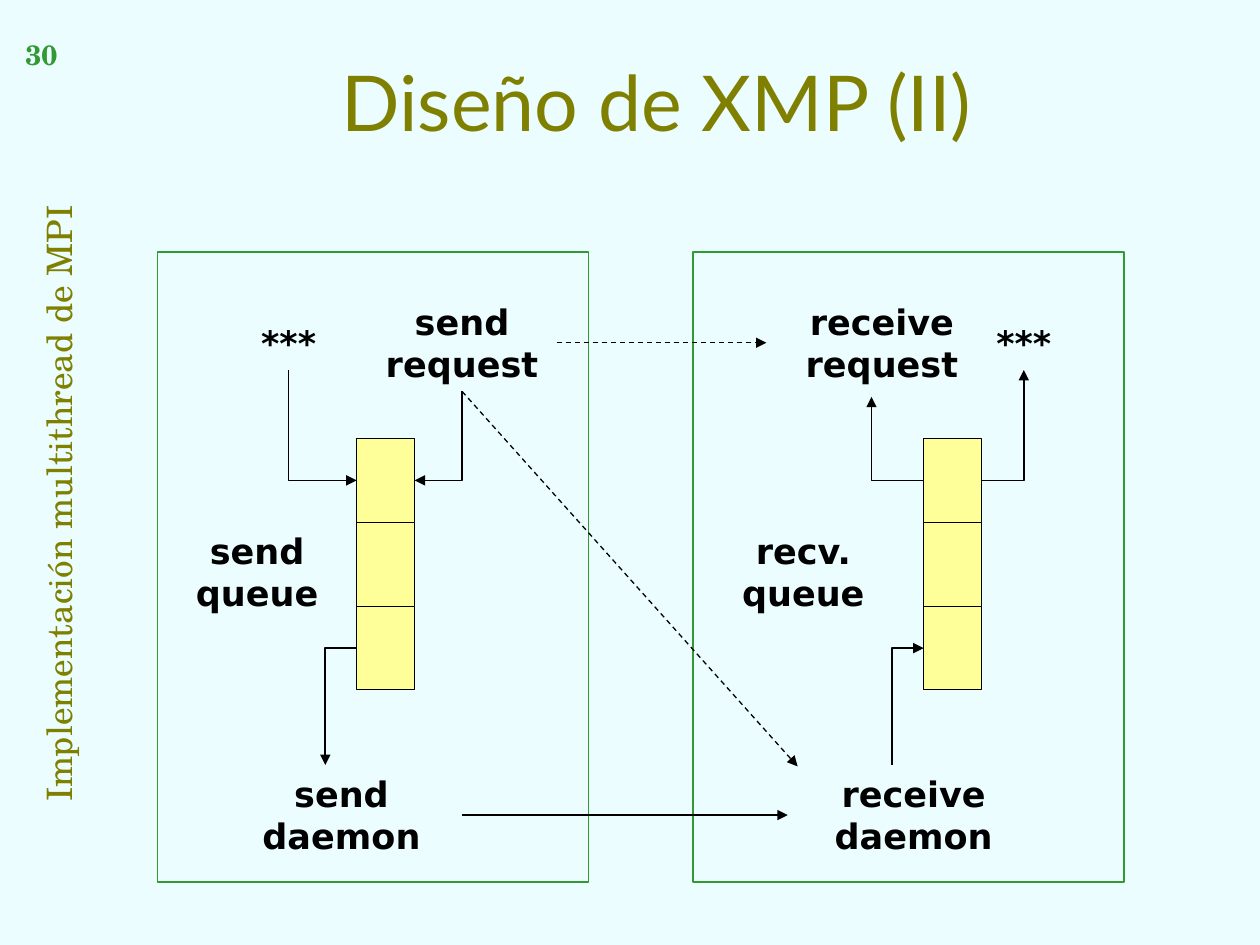
"""Build the slide on the send and receive queues of XMP."""
from lxml.etree import SubElement
from pptx import Presentation
from pptx.dml.color import RGBColor as Rgb
from pptx.enum.dml import MSO_LINE as Dash
from pptx.enum.shapes import MSO_CONNECTOR as Link, MSO_SHAPE as Form
from pptx.enum.text import MSO_ANCHOR as Anchor, PP_ALIGN as Align
from pptx.oxml.ns import qn
from pptx.util import Cm, Pt

THEME = {
    "back": "EBFDFF", "olive": "808000", "green": "339933",
    "cell": "FFFF99", "ink": "000000",
    "sans": "DejaVu Sans", "serif": "TeX Gyre Schola", "head": "Lato",
    "title": 44, "body": 20, "page": 16,
}
TITLE = "Diseño de XMP (II)"
SIDE = "Implementación multithread de MPI"
PAGE = "30"

PANELS = [3.18, 13.97]
QUEUES = {"send": 7.19, "recv": 18.62}
CELL_W, CELL_H, CELL_TOP, CELLS = 1.17, 1.69, 8.84, 3

LABELS = {
    "send request": ("send request", 7.41, 5.93, 3.81, 1.96),
    "send queue": ("send queue", 2.96, 10.54, 4.45, 1.96),
    "send daemon": ("send daemon", 4.45, 15.45, 4.87, 1.96),
    "send more": ("***", 4.02, 6.35, 3.6, 1.11),
    "recv queue": ("recv. queue", 13.97, 10.54, 4.45, 1.96),
    "recv request": ("receive request", 15.45, 5.93, 4.66, 1.96),
    "recv daemon": ("receive daemon", 15.88, 15.45, 5.08, 1.96),
    "recv more": ("***", 18.84, 6.35, 3.6, 1.11),
}
TOP, LEFT, BOTTOM, RIGHT = range(4)
ELBOWS = [
    ("send", 0, LEFT, ("send more", BOTTOM), "headEnd"),
    ("send", 0, RIGHT, ("send request", BOTTOM), "headEnd"),
    ("send", 2, LEFT, (6.56, 15.42), "tailEnd"),
    ("recv", 0, LEFT, (17.57, 8.0), "tailEnd"),
    ("recv", 0, RIGHT, ("recv more", BOTTOM), "tailEnd"),
    ("recv", 2, LEFT, (17.99, 15.42), "headEnd"),
]
ARROWS = [
    (("send daemon", RIGHT), ("recv daemon", LEFT), 1, False),
    (("send request", RIGHT), ("recv request", LEFT), 0.75, True),
    (("send request", BOTTOM), (16.08, 15.45), 0.75, True),
]


def tint(name):
    return Rgb.from_string(THEME[name])


def style(box, text, face, size, hue, bold=False):
    frame = box.text_frame
    frame.word_wrap = True
    para = frame.paragraphs[0]
    para.text = text
    para.alignment = Align.CENTER
    font = para.font
    font.name, font.size, font.bold = THEME[face], Pt(THEME[size]), bold
    font.color.rgb = tint(hue)


def add_text(slide, area, *look):
    box = slide.shapes.add_textbox(*map(Cm, area))
    style(box, *look)
    return box


def add_rect(slide, area, fill, line, width):
    rect = slide.shapes.add_shape(Form.RECTANGLE, *map(Cm, area))
    rect.shadow.inherit = False
    if fill:
        rect.fill.solid()
        rect.fill.fore_color.rgb = tint(fill)
    else:
        rect.fill.background()
    rect.line.color.rgb = tint(line)
    rect.line.width = Pt(width)
    return rect


def add_link(slide, kind, start, end, width, tip, dash=False):
    link = slide.shapes.add_connector(kind, 0, 0, 0, 0)
    if kind == Link.ELBOW:
        link._element.spPr.find(qn("a:prstGeom")).set("prst", "bentConnector2")
    if isinstance(end[0], float):
        link.end_x, link.end_y = map(Cm, end)
    else:
        link.end_connect(*end)
    link.begin_connect(*start)
    link.line.color.rgb = tint("ink")
    link.line.width = Pt(width)
    if dash:
        link.line.dash_style = Dash.DASH
    SubElement(link.line._get_or_add_ln(), qn("a:" + tip), type="triangle")
    SubElement(link._element.spPr, qn("a:effectLst"))


def main():
    deck = Presentation()
    deck.slide_width, deck.slide_height = Cm(25.4), Cm(19.05)
    slide = deck.slides.add_slide(deck.slide_layouts[5])
    slide.background.fill.solid()
    slide.background.fill.fore_color.rgb = tint("back")

    title = slide.shapes.title
    title.left, title.top, title.width, title.height = map(
        Cm, (1.91, 0.43, 22.66, 3.18))
    style(title, TITLE, "head", "title", "olive")
    title.text_frame.vertical_anchor = Anchor.MIDDLE
    side = add_text(slide, (-6.88, 9.83, 15.67, 0.64),
                    SIDE, "serif", "body", "olive")
    side.rotation = 270
    add_text(slide, (0.2, 0.64, 1.27, 1.91),
             PAGE, "serif", "page", "green", True)

    for x in PANELS:
        add_rect(slide, (x, 5.08, 8.69, 12.7), None, "green", 0.75)
    cells = {
        (name, row): add_rect(
            slide, (x, CELL_TOP + row * CELL_H, CELL_W, CELL_H),
            "cell", "ink", 0.5)
        for name, x in QUEUES.items() for row in range(CELLS)
    }
    boxes = {
        name: add_text(slide, area, text, "sans", "body", "ink", True)
        for name, (text, *area) in LABELS.items()
    }

    def spot(end):
        return (boxes[end[0]], end[1]) if end[0] in boxes else end

    for name, row, edge, end, tip in ELBOWS:
        add_link(slide, Link.ELBOW, (cells[name, row], edge),
                 spot(end), 1, tip)
    for start, end, width, dash in ARROWS:
        add_link(slide, Link.STRAIGHT, spot(start), spot(end),
                 width, "tailEnd", dash)
    deck.save("out.pptx")


if __name__ == "__main__":
    main()
